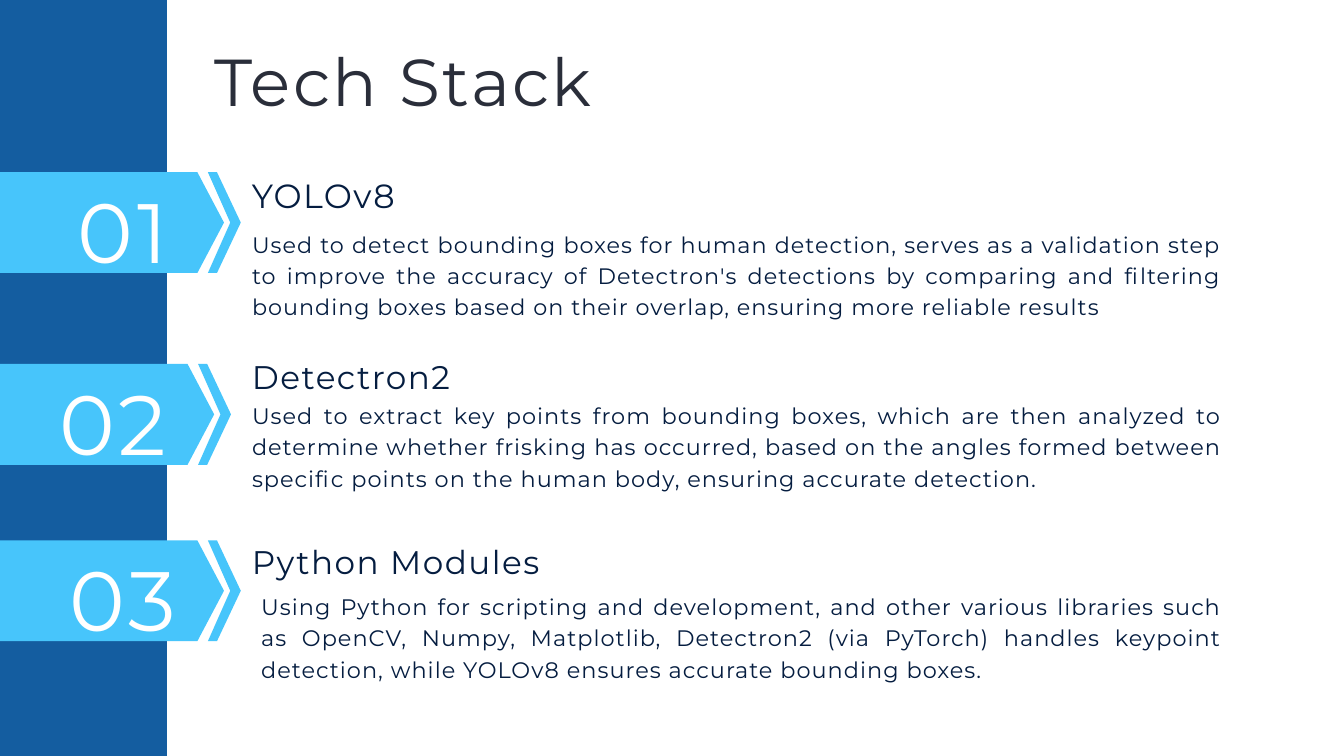
from pptx import Presentation
from pptx.dml.color import RGBColor
from pptx.enum.text import PP_ALIGN
from pptx.util import Pt

PX = 9525
LEFT, CENTER, JUSTIFY = PP_ALIGN.LEFT, PP_ALIGN.CENTER, PP_ALIGN.JUSTIFY
FONT = "Montserrat"
DARK_BLUE, SKY, NAVY, CHARCOAL, WHITE = "145DA0", "47C5FB", "051D40", "2A2E3A", "FFFFFF"
TAG_HEIGHT = 144

# number, tag (x, y), heading, heading (y, size, spacing),
SECTIONS = [
    {
        "number": "01", "tag": (-20, 246),
        "heading": "YOLOv8", "heading_y": 240, "heading_size": 35.9, "heading_line": 50.3,
        "body": "Used to detect bounding boxes for human detection, serves as a validation step "
                "to improve the accuracy of Detectron's detections by comparing and filtering "
                "bounding boxes based on their overlap, ensuring more reliable results",
        "body_at": (360, 324), "body_size": 23.9, "body_line": 33.4,
    },
    {
        "number": "02", "tag": (-34, 520),
        "heading": "Detectron2", "heading_y": 500, "heading_size": 35, "heading_line": 49,
        "body": "Used to extract key points from bounding boxes, which are then analyzed to "
                "determine whether frisking has occurred, based on the angles formed between "
                "specific points on the human body, ensuring accurate detection.",
        "body_at": (360, 568), "body_size": 24, "body_line": 33.6,
    },
    {
        "number": "03", "tag": (-20, 772),
        "heading": "Python Modules", "heading_y": 765, "heading_size": 35, "heading_line": 49,
        "body": "Using Python for scripting and development, and other various libraries such "
                "as OpenCV, Numpy, Matplotlib, Detectron2 (via PyTorch) handles keypoint "
                "detection, while YOLOv8 ensures accurate bounding boxes.",
        "body_at": (373, 841), "body_size": 24, "body_line": 33.6,
    },
]
BODY_RIGHT = 1746


def rgb(value):
    return RGBColor.from_string(value)


def add_polygon(slide, points, color):
    start, *rest = points
    builder = slide.shapes.build_freeform(*start, scale=PX)
    builder.add_line_segments(rest, close=True)
    sp = builder.convert_to_shape()
    sp.shadow.inherit = False
    sp.fill.solid()
    sp.fill.fore_color.rgb = rgb(color)
    sp.line.fill.background()


def add_text(slide, text, box, size, color, line, tracking, align=LEFT):
    tf = slide.shapes.add_textbox(*(v * PX for v in box)).text_frame
    tf.word_wrap = True
    tf.margin_left = tf.margin_top = tf.margin_right = tf.margin_bottom = 0
    p = tf.paragraphs[0]
    p.text = text
    p.alignment = align
    p.line_spacing = Pt(line)
    r = p.runs[0]
    r.font.name = FONT
    r.font.size = Pt(size)
    r.font.color.rgb = rgb(color)
    r._r.get_or_add_rPr().set("spc", str(round(tracking * 100)))


def add_tag(slide, number, x, y):
    middle, bottom = y + TAG_HEIGHT // 2, y + TAG_HEIGHT
    chevron = [(330, bottom), (317, bottom), (349, middle), (317, y), (330, y), (364, middle)]
    arrow = [(302, y), (0, y), (0, bottom), (302, bottom), (340, middle)]
    for outline in (chevron, arrow):
        add_polygon(slide, [(x + dx, py) for dx, py in outline], SKY)
    add_text(slide, number, (x + 97, y - 14, 197, 157), 90.1, WHITE, 126.2, 4, CENTER)


def add_section(slide, section):
    add_tag(slide, section["number"], *section["tag"])
    add_text(slide, section["heading"], (360, section["heading_y"], 454, 65),
             section["heading_size"], NAVY, section["heading_line"], 1.6)
    x, y = section["body_at"]
    add_text(slide, section["body"], (x, y, BODY_RIGHT - x, 131),
             section["body_size"], NAVY, section["body_line"], 1.1, JUSTIFY)


def main():
    prs = Presentation()
    prs.slide_width, prs.slide_height = 1920 * PX, 1080 * PX
    slide = prs.slides.add_slide(prs.slide_layouts[6])
    add_polygon(slide, [(0, 0), (239, 0), (239, 1080), (0, 1080)], DARK_BLUE)
    add_text(slide, "Tech Stack", (306, 58, 855, 114), 71, CHARCOAL, 85.2, 2.5)
    for section in SECTIONS:
        add_section(slide, section)
    prs.save("out.pptx")


if __name__ == "__main__":
    main()
